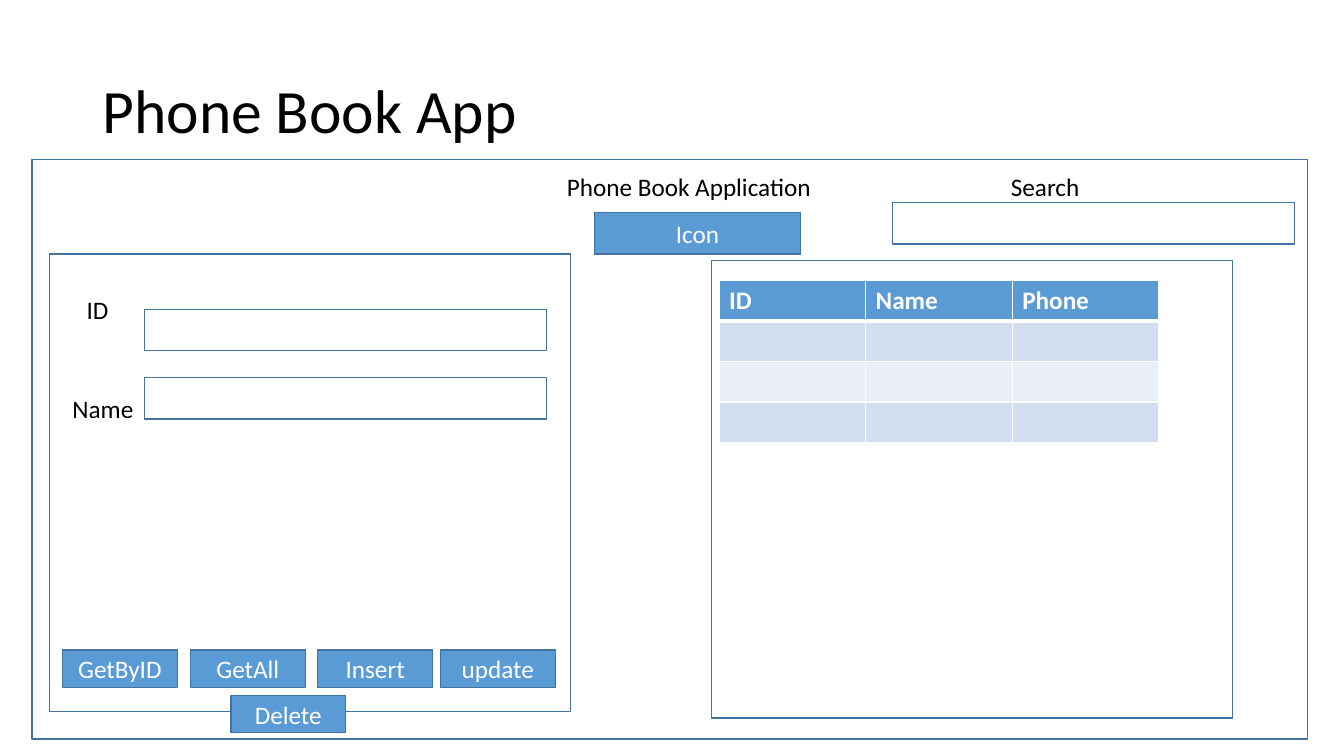
from dataclasses import dataclass
from typing import Optional

from lxml.etree import SubElement
from pptx import Presentation
from pptx.dml.color import RGBColor
from pptx.enum.shapes import MSO_SHAPE as Shape
from pptx.enum.text import MSO_ANCHOR as Anchor, MSO_AUTO_SIZE as AutoSize, PP_ALIGN as Align
from pptx.oxml.ns import qn
from pptx.util import Pt


@dataclass(frozen=True)
class Theme:
    font: str = "Calibri"
    title_size: float = 44
    body_size: float = 18
    ink: str = "000000"
    white: str = "FFFFFF"
    accent: str = "5B9BD5"
    outline: str = "43739E"
    bands: tuple[str, str] = ("D2DEEF", "EAEFF7")
    line_width: float = 1
    header_rule: float = 3


@dataclass(frozen=True)
class Box:
    left: float
    top: float
    width: float
    height: float
    text: str = ""
    fill: Optional[str] = None

    def lengths(self) -> tuple:
        return Pt(self.left), Pt(self.top), Pt(self.width), Pt(self.height)


@dataclass(frozen=True)
class Label:
    box: Box
    align: Align = Align.LEFT


THEME = Theme()
FIELD_SIZE = (287.3, 29.5)
PANEL_SIZE = (372.2, 326.9)
BUTTON_SIZE = (82.1, 26.6)
BUTTON_ROW_TOP = 464.4

TITLE = Box(66, 28.8, 828, 104.4, "Phone Book App")
FRAMES = [
    Box(23, 113.8, 910.8, 414),
    Box(35.3, 181.4, *PANEL_SIZE),
    Box(508.3, 186, *PANEL_SIZE),
    Box(103.2, 221, *FIELD_SIZE),
    Box(103.2, 269.8, *FIELD_SIZE),
    Box(637.6, 144.7, *FIELD_SIZE),
]
BUTTONS = [
    Box(424.8, 151.9, 146.9, 29.5, "Icon", THEME.accent),
    Box(44.6, BUTTON_ROW_TOP, *BUTTON_SIZE, "GetByID", THEME.accent),
    Box(136, BUTTON_ROW_TOP, *BUTTON_SIZE, "GetAll", THEME.accent),
    Box(227, BUTTON_ROW_TOP, *BUTTON_SIZE, "Insert", THEME.accent),
    Box(314.6, BUTTON_ROW_TOP, *BUTTON_SIZE, "update", THEME.accent),
    Box(164.9, 496.8, *BUTTON_SIZE, "Delete", THEME.accent),
]
LABELS = [
    Label(Box(334.8, 119, 314.6, 29.1, "Phone Book Application"), Align.CENTER),
    Label(Box(54.7, 206.9, 49, 29.1, "ID")),
    Label(Box(44.6, 277.5, 59, 29.1, "Name")),
    Label(Box(715, 119, 87.1, 29.1, "Search")),
]
CONTACTS = Box(513.6, 200.2, 314.2, 116)
CONTACT_HEADINGS = ("ID", "Name", "Phone")
CONTACT_ROWS = 4


def write_text(text_frame, text: str, *, size: float = THEME.body_size, color: str = THEME.ink,
               bold: bool = False, align: Align = Align.LEFT,
               anchor: Anchor = Anchor.TOP) -> None:
    text_frame.word_wrap = True
    text_frame.vertical_anchor = anchor
    paragraph = text_frame.paragraphs[0]
    paragraph.alignment = align
    run = paragraph.add_run()
    run.text = text
    run.font.name = THEME.font
    run.font.size = Pt(size)
    run.font.bold = bold
    run.font.color.rgb = RGBColor.from_string(color)


def add_title(slide, box: Box) -> None:
    title = slide.shapes.title
    title.left, title.top, title.width, title.height = box.lengths()
    write_text(title.text_frame, box.text, size=THEME.title_size, anchor=Anchor.MIDDLE)
    title.text_frame.paragraphs[0].line_spacing = 0.9


def add_rectangle(slide, box: Box) -> None:
    shape = slide.shapes.add_shape(Shape.RECTANGLE, *box.lengths())
    shape.shadow.inherit = False
    shape.line.color.rgb = RGBColor.from_string(THEME.outline)
    shape.line.width = Pt(THEME.line_width)
    if box.fill:
        shape.fill.solid()
        shape.fill.fore_color.rgb = RGBColor.from_string(box.fill)
    else:
        shape.fill.background()
    if box.text:
        write_text(shape.text_frame, box.text, color=THEME.white,
                   align=Align.CENTER, anchor=Anchor.MIDDLE)


def add_label(slide, label: Label) -> None:
    text_box = slide.shapes.add_textbox(*label.box.lengths())
    write_text(text_box.text_frame, label.box.text, align=label.align)
    text_box.text_frame.auto_size = AutoSize.SHAPE_TO_FIT_TEXT


def set_border(cell, side: str, width: float) -> None:
    properties = cell._tc.get_or_add_tcPr()
    line = SubElement(properties, qn(f"a:{side}"), w=str(Pt(width)))
    fill = SubElement(line, qn("a:solidFill"))
    SubElement(fill, qn("a:srgbClr"), val=THEME.white)


def format_cell(cell, row: int) -> None:
    thick_sides = {0: "lnB", 1: "lnT"}
    for side in ("lnL", "lnR", "lnT", "lnB"):
        thick = thick_sides.get(row) == side
        set_border(cell, side, THEME.header_rule if thick else THEME.line_width)
    color = THEME.bands[(row - 1) % 2] if row else THEME.accent
    cell.fill.solid()
    cell.fill.fore_color.rgb = RGBColor.from_string(color)


def add_contacts(slide) -> None:
    columns = len(CONTACT_HEADINGS)
    table = slide.shapes.add_table(CONTACT_ROWS, columns, *CONTACTS.lengths()).table
    for row in range(CONTACT_ROWS):
        table.rows[row].height = Pt(CONTACTS.height / CONTACT_ROWS)
        for column in range(columns):
            format_cell(table.cell(row, column), row)
    for column, heading in enumerate(CONTACT_HEADINGS):
        write_text(table.cell(0, column).text_frame, heading, color=THEME.white, bold=True)


def main() -> None:
    presentation = Presentation()
    presentation.slide_width, presentation.slide_height = Pt(960), Pt(540)
    slide = presentation.slides.add_slide(presentation.slide_layouts.get_by_name("Title Only"))
    add_title(slide, TITLE)
    for box in FRAMES + BUTTONS:
        add_rectangle(slide, box)
    for label in LABELS:
        add_label(slide, label)
    add_contacts(slide)
    presentation.save("out.pptx")


if __name__ == "__main__":
    main()
